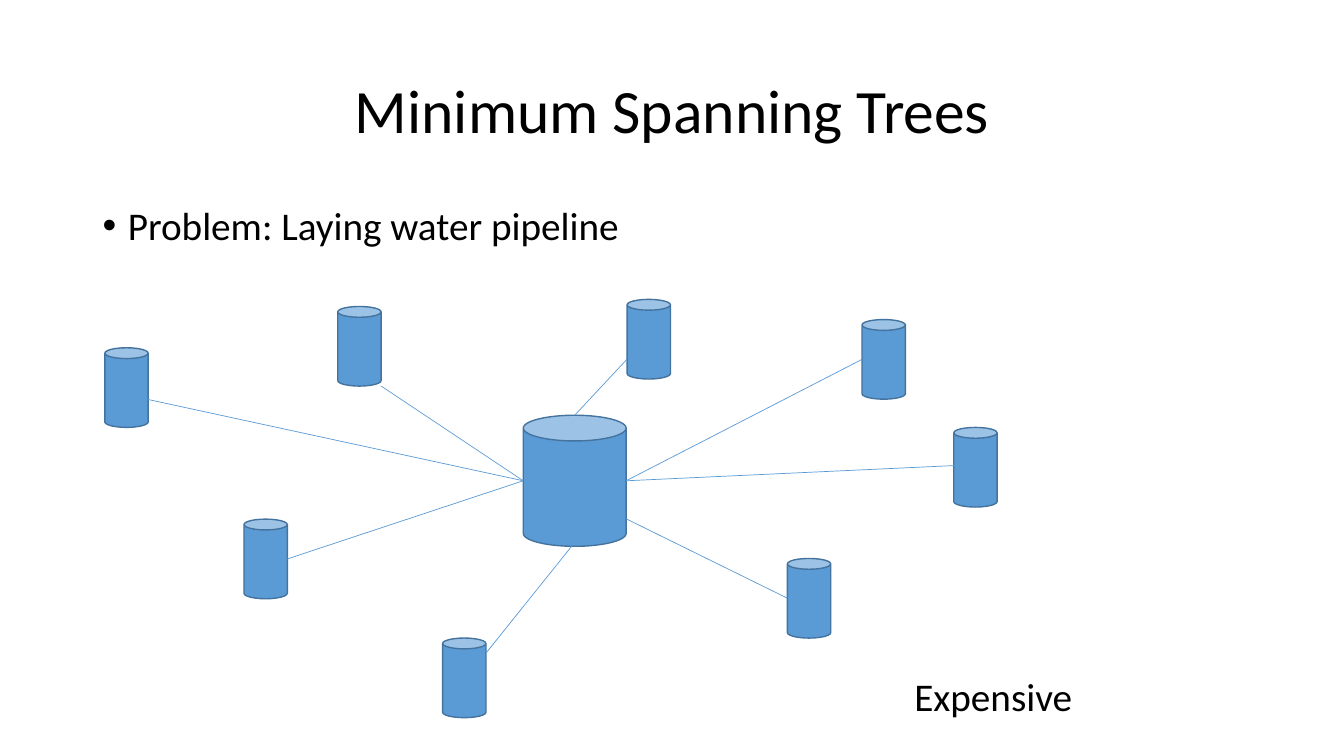
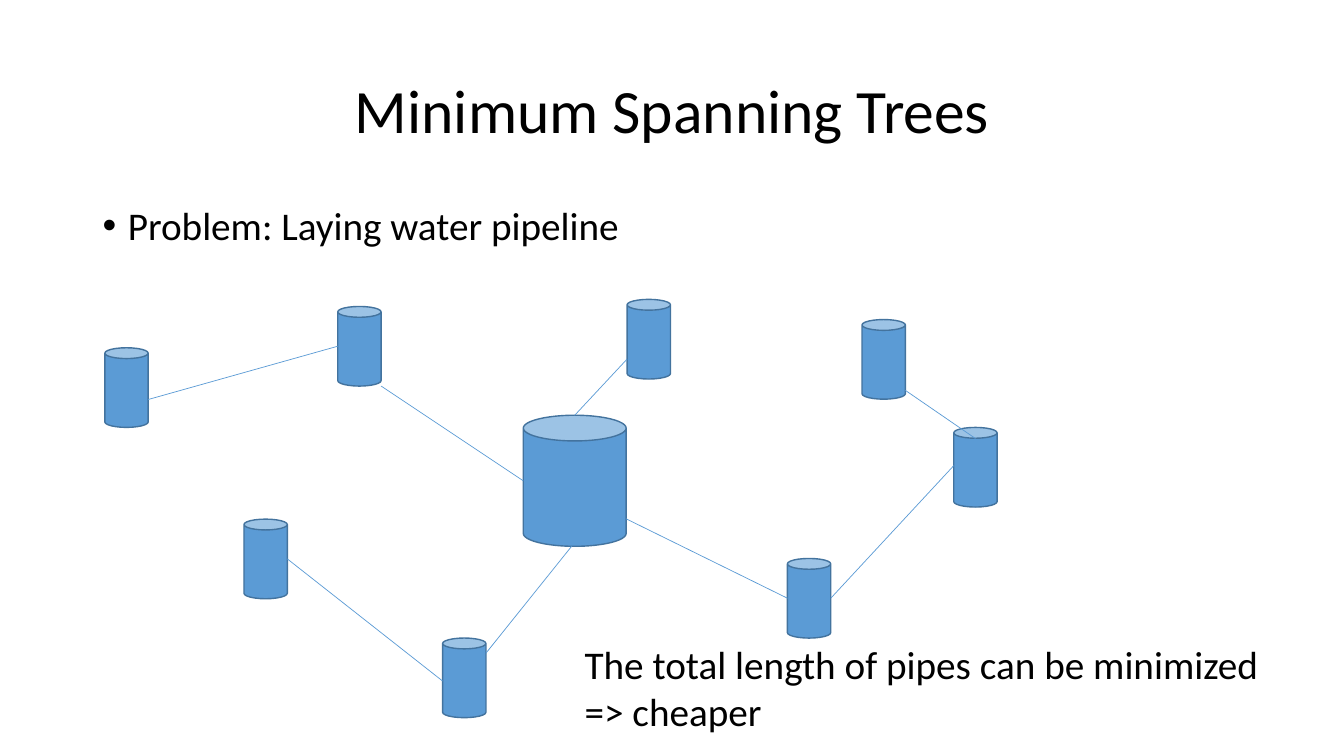
from lxml import etree
from pptx import Presentation
from pptx.dml.color import RGBColor
from pptx.enum.shapes import MSO_CONNECTOR, MSO_SHAPE
from pptx.enum.text import MSO_ANCHOR, MSO_AUTO_SIZE, PP_ALIGN
from pptx.oxml.ns import qn
from pptx.util import Pt

CAN = MSO_SHAPE.CAN
LINE = MSO_CONNECTOR.STRAIGHT
TOP, MID = MSO_ANCHOR.TOP, MSO_ANCHOR.MIDDLE
LEFT, CENTER = PP_ALIGN.LEFT, PP_ALIGN.CENTER
FIXED = MSO_AUTO_SIZE.NONE

SCALE = 9144
FONT = "Calibri"
HUES = {"text": "000000", "fill": "5B9BD5", "edge": "43739E", "pipe": "5B9BD5"}

SIZE = (43, 79)
TANKS = {
    "north": (335, 304, *SIZE),
    "east": (946, 424, *SIZE),
    "west": (104, 345, *SIZE),
    "top": (622, 297, *SIZE),
    "left": (242, 515, *SIZE),
    "south": (439, 633, *SIZE),
    "upper": (855, 317, *SIZE),
    "lower": (781, 554, *SIZE),
    "hub": (519, 412, 102, 130),
}

# Each pipe end is a tank with the percent across and down its box.
SHARED = [
    (("north", 100, 100), ("hub", 0, 50)),
    (("hub", 47, 100), ("south", 100, 19)),
    (("hub", 100, 79), ("lower", 0, 50)),
    (("hub", 50, 0), ("top", 0, 75)),
]
STAR = SHARED + [
    (("hub", 100, 50), ("upper", 0, 50)),
    (("hub", 0, 50), ("left", 100, 50)),
    (("hub", 0, 50), ("west", 100, 65)),
    (("hub", 100, 50), ("east", 0, 48)),
]
TREE = SHARED + [
    (("east", 50, 14), ("upper", 100, 89)),
    (("south", 0, 54), ("left", 100, 50)),
    (("north", 0, 50), ("west", 100, 65)),
    (("lower", 100, 50), ("east", 0, 48)),
]


def px(num):
    return round(num * SCALE)


def hue(name):
    return RGBColor.from_string(HUES[name])


def place(shape, box):
    shape.left, shape.top, shape.width, shape.height = map(px, box)


def write(shape, *lines, size=28, align=LEFT, anchor=TOP, wrap=True,
          space=None, before=None, bullet=False):
    frame = shape.text_frame
    frame.text = "\n".join(lines)
    frame.auto_size = FIXED
    frame.word_wrap = wrap
    frame.vertical_anchor = anchor
    for para in frame.paragraphs:
        para.alignment = align
        para.line_spacing = space
        para.space_before = before
        if bullet:
            props = para._p.get_or_add_pPr()
            props.set("marL", str(px(25)))
            props.set("indent", str(px(-25)))
            etree.SubElement(props, qn("a:buFont"), typeface="Arial")
            etree.SubElement(props, qn("a:buChar"), char="•")
        for run in para.runs:
            run.font.name = FONT
            run.font.size = Pt(size)
            run.font.color.rgb = hue("text")


def label(slide, box, *lines, **style):
    write(slide.shapes.add_textbox(*map(px, box)), *lines, **style)


def tank(slide, box):
    shape = slide.shapes.add_shape(CAN, *map(px, box))
    shape.shadow.inherit = False
    shape.fill.solid()
    shape.fill.fore_color.rgb = hue("fill")
    shape.line.color.rgb = hue("edge")
    shape.line.width = Pt(1)


def point(end):
    name, across, down = end
    left, top, width, height = TANKS[name]
    return px(left + width * across / 100), px(top + height * down / 100)


def pipe(slide, start, stop):
    line = slide.shapes.add_connector(LINE, *point(start), *point(stop))
    line.line.color.rgb = hue("pipe")
    line.line.width = Pt(0.5)
    etree.SubElement(line._element.spPr, qn("a:effectLst"))


def network(deck, pipes, box, *note):
    slide = deck.slides.add_slide(deck.slide_layouts[5])
    title = slide.shapes.title
    place(title, (92, 40, 1150, 145))
    write(title, "Minimum Spanning Trees", size=44, align=CENTER,
          anchor=MID, space=0.9)
    label(slide, (92, 200, 1150, 476), "Problem: Laying water pipeline",
          space=0.9, before=Pt(10), bullet=True)
    for spot in TANKS.values():
        tank(slide, spot)
    for start, stop in pipes:
        pipe(slide, start, stop)
    label(slide, box, *note, wrap=False)


def main():
    deck = Presentation()
    deck.slide_width, deck.slide_height = px(1333), px(750)
    network(deck, STAR, (897, 662, 178, 57), "Expensive")
    network(deck, TREE, (570, 630, 695, 104),
            "The total length of pipes can be minimized", "=> cheaper")
    deck.save("out.pptx")


if __name__ == "__main__":
    main()
